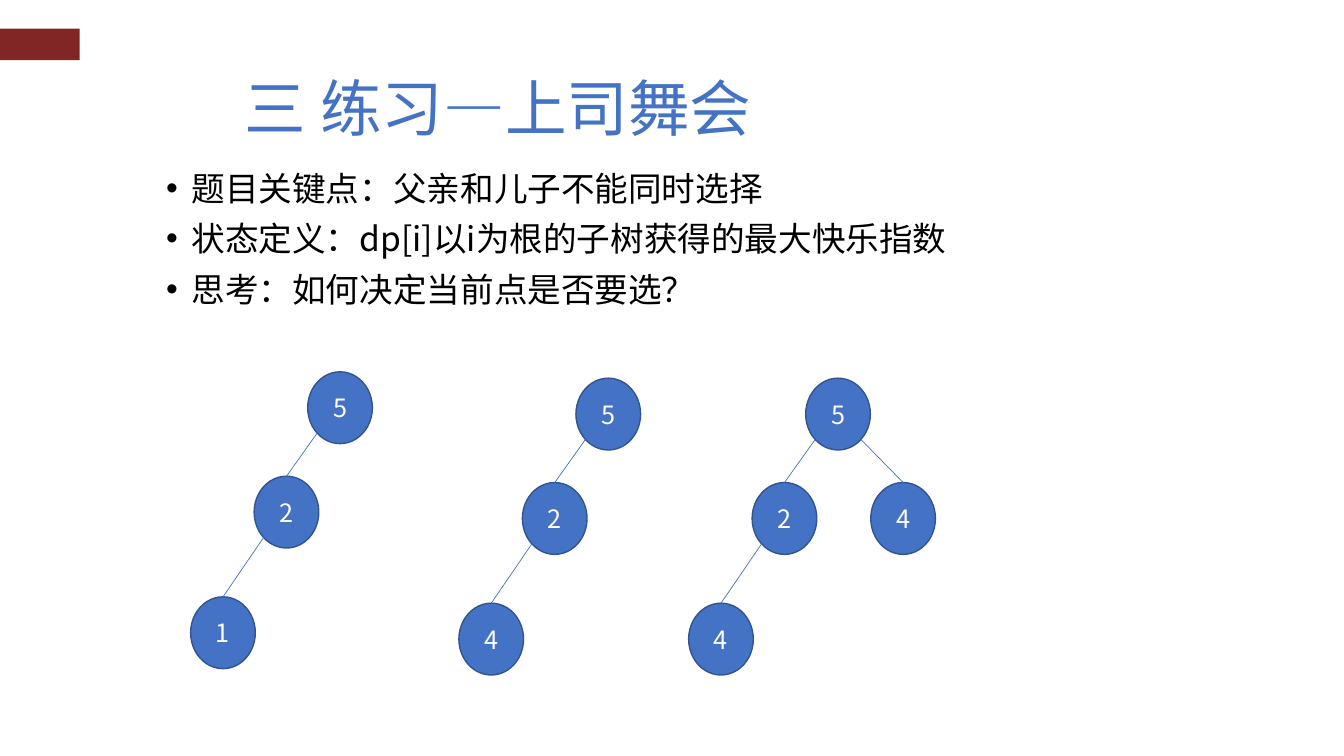
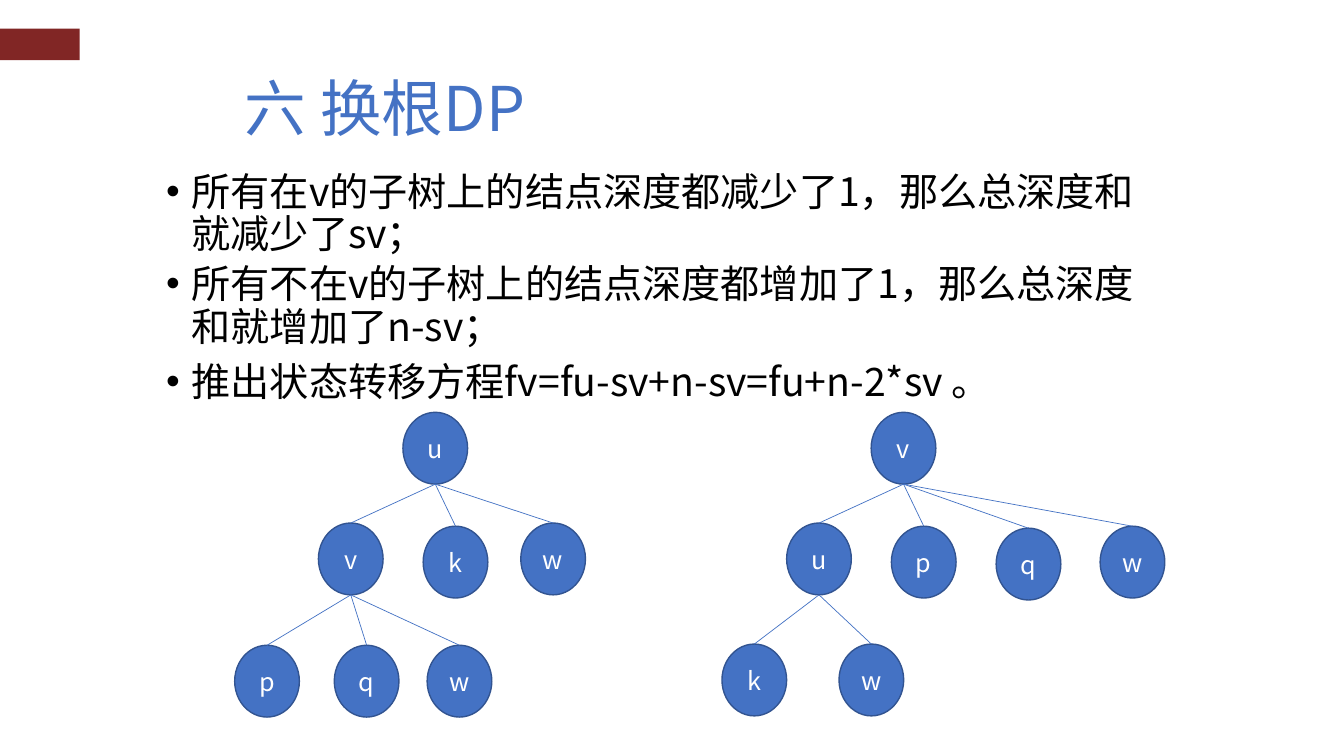
"""Build two slides on tree dynamic programming, with bullets and node diagrams."""
from dataclasses import dataclass
from math import copysign, sqrt

from lxml import etree
from pptx import Presentation
from pptx.dml.color import RGBColor
from pptx.enum.shapes import MSO_CONNECTOR, MSO_SHAPE
from pptx.enum.text import MSO_ANCHOR, MSO_AUTO_SIZE, PP_ALIGN
from pptx.oxml.ns import qn
from pptx.util import Cm, Pt

OVAL, RECTANGLE = MSO_SHAPE.OVAL, MSO_SHAPE.RECTANGLE
STRAIGHT = MSO_CONNECTOR.STRAIGHT
TOP, MIDDLE = MSO_ANCHOR.TOP, MSO_ANCHOR.MIDDLE
LEFT, CENTER = PP_ALIGN.LEFT, PP_ALIGN.CENTER
NO_FIT = MSO_AUTO_SIZE.NONE
TITLE_ONLY = 5


@dataclass(frozen=True)
class Theme:
    font: str = "Noto Sans CJK SC"
    blue: RGBColor = RGBColor(0x44, 0x72, 0xC4)
    outline: RGBColor = RGBColor(0x32, 0x54, 0x91)
    band: RGBColor = RGBColor(0x81, 0x26, 0x25)
    ink: RGBColor = RGBColor(0, 0, 0)
    paper: RGBColor = RGBColor(0xFF, 0xFF, 0xFF)
    title_size: int = 44
    node_size: int = 18
    leading: float = 1.08
    bullet_gap: int = 10


theme = Theme()
TITLE_FRAME = {"auto_size": NO_FIT, "word_wrap": True, "vertical_anchor": MIDDLE}
BODY_FRAME = {"auto_size": NO_FIT, "word_wrap": True, "vertical_anchor": TOP}
NODE_FRAME = {"margin_left": 0, "margin_right": 0, "margin_top": 0, "margin_bottom": 0,
              "word_wrap": True, "vertical_anchor": MIDDLE}
NODE_WIDTH, NODE_HEIGHT = 1.63, 1.81
BODY_LEFT, BODY_WIDTH = 3.94, 25.3


def set_values(target, values):
    for name, value in values.items():
        setattr(target, name, value)


def write(para, text, size, color, align):
    para.alignment = align
    span = para.add_run()
    span.text = text
    set_values(span.font, {"name": theme.font, "size": Pt(size), "bold": False})
    span.font.color.rgb = color
    properties = span.font._element
    etree.SubElement(properties, qn("a:ea")).set("typeface", theme.font)


chain = [(None, 0, 0), (0, -1.35, 2.63), (1, -2.95, 5.67)]
fork = chain + [(0, 1.64, 2.63)]
u_rooted = [(None, 0, 0), (0, -2.13, 2.79), (0, 0.51, 2.87), (0, 2.97, 2.79),
            (1, -4.24, 5.87), (1, -1.73, 5.87), (1, 0.61, 5.87)]
v_rooted = [(None, 0, 0), (0, -2.13, 2.79), (0, 0.51, 2.87), (0, 3.15, 2.92),
            (0, 5.77, 2.87), (1, -3.76, 5.84), (1, -0.81, 5.84)]

pages = [
    {
        "title": "三 练习—上司舞会",
        "size": 24,
        "bodies": [(4.21, 5, ["题目关键点：父亲和儿子不能同时选择",
                              "状态定义：dp[i]以i为根的子树获得的最大快乐指数",
                              "思考：如何决定当前点是否要选？"])],
        "diagonal": True,
        "trees": [(8.57, 9.37, "521", chain), (15.33, 9.53, "524", chain),
                  (21.12, 9.53, "5244", fork)],
    },
    {
        "title": "六 换根DP",
        "size": 28,
        "bodies": [(4.21, 2.2, ["所有在v的子树上的结点深度都减少了1，那么总深度和就减少了sv；"]),
                   (6.54, 2.4, ["所有不在v的子树上的结点深度都增加了1，那么总深度和就增加了n-sv；"]),
                   (9, 1.4, ["推出状态转移方程fv=fu-sv+n-sv=fu+n-2*sv 。"])],
        "diagonal": False,
        "trees": [(10.97, 10.39, "uvkwpqw", u_rooted), (22.77, 10.39, "vupqwkw", v_rooted)],
    },
]

deck = Presentation()
deck.slide_width, deck.slide_height = Cm(33.87), Cm(19.05)

for content in pages:
    page = deck.slides.add_slide(deck.slide_layouts[TITLE_ONLY])

    band = page.shapes.add_shape(RECTANGLE, 0, Cm(0.72), Cm(2.01), Cm(0.8))
    band.shadow.inherit = False
    band.fill.solid()
    band.fill.fore_color.rgb = theme.band
    band.line.fill.background()

    title = page.shapes.title
    set_values(title, {"left": Cm(5.92), "top": Cm(1.62),
                       "width": Cm(18.64), "height": Cm(2.13)})
    set_values(title.text_frame, TITLE_FRAME)
    write(title.text_frame.paragraphs[0], content["title"], theme.title_size, theme.blue, LEFT)

    for top, height, bullets in content["bodies"]:
        box = page.shapes.add_textbox(Cm(BODY_LEFT), Cm(top), Cm(BODY_WIDTH), Cm(height))
        frame = box.text_frame
        set_values(frame, BODY_FRAME)
        for index, text in enumerate(bullets):
            para = frame.add_paragraph() if index else frame.paragraphs[0]
            para.line_spacing = Pt(content["size"] * theme.leading)
            para.space_before = Pt(theme.bullet_gap if index else 0)
            properties = para._p.get_or_add_pPr()
            properties.set("marL", str(Cm(0.64)))
            properties.set("indent", str(-Cm(0.64)))
            etree.SubElement(properties, qn("a:buFont")).set("typeface", "Arial")
            etree.SubElement(properties, qn("a:buChar")).set("char", "•")
            write(para, text, content["size"], theme.ink, LEFT)

    for root_x, root_y, labels, layout in content["trees"]:
        group = page.shapes.add_group_shape()
        nodes = []
        for label, (parent, right, down) in zip(labels, layout):
            center, top = root_x + right, root_y + down
            node = group.shapes.add_shape(OVAL, Cm(center - NODE_WIDTH / 2), Cm(top),
                                          Cm(NODE_WIDTH), Cm(NODE_HEIGHT))
            node.shadow.inherit = False
            node.fill.solid()
            node.fill.fore_color.rgb = theme.blue
            node.line.color.rgb = theme.outline
            node.line.width = Pt(1)
            set_values(node.text_frame, NODE_FRAME)
            write(node.text_frame.paragraphs[0], label, theme.node_size, theme.paper, CENTER)
            nodes.append((center, top))
            if parent is None:
                continue

            start_x, start_y = nodes[parent]
            if content["diagonal"]:
                start_x += copysign(NODE_WIDTH / 2 / sqrt(2), center - start_x)
                start_y += NODE_HEIGHT / 2 * (1 + 1 / sqrt(2))
            else:
                start_y += NODE_HEIGHT
            edge = group.shapes.add_connector(STRAIGHT, Cm(start_x), Cm(start_y),
                                              Cm(center), Cm(top))
            edge.end_connect(node, 0)
            edge.line.color.rgb = theme.blue
            edge.line.width = Pt(0.5)
            etree.SubElement(edge._element.spPr, qn("a:effectLst"))

deck.save("out.pptx")
